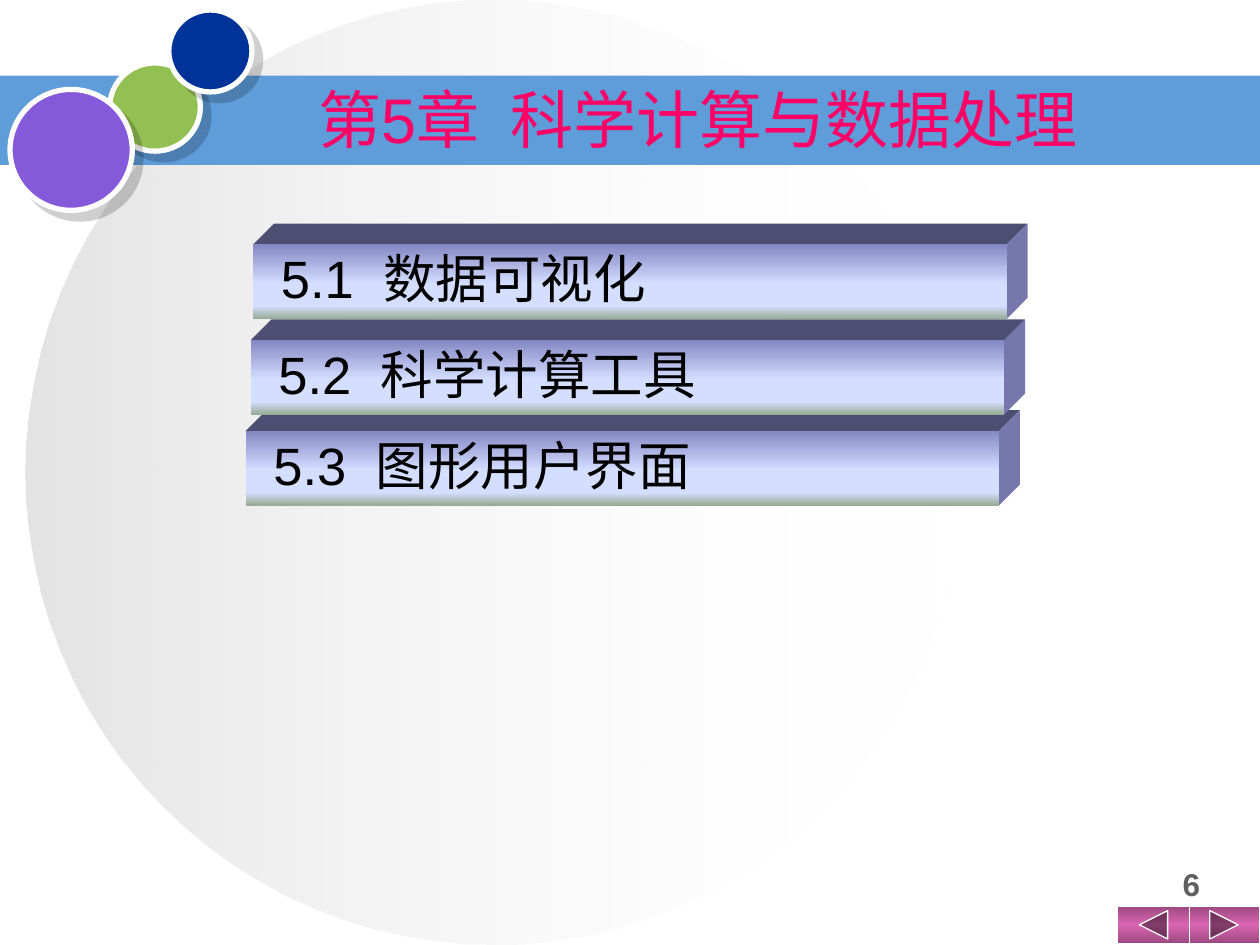
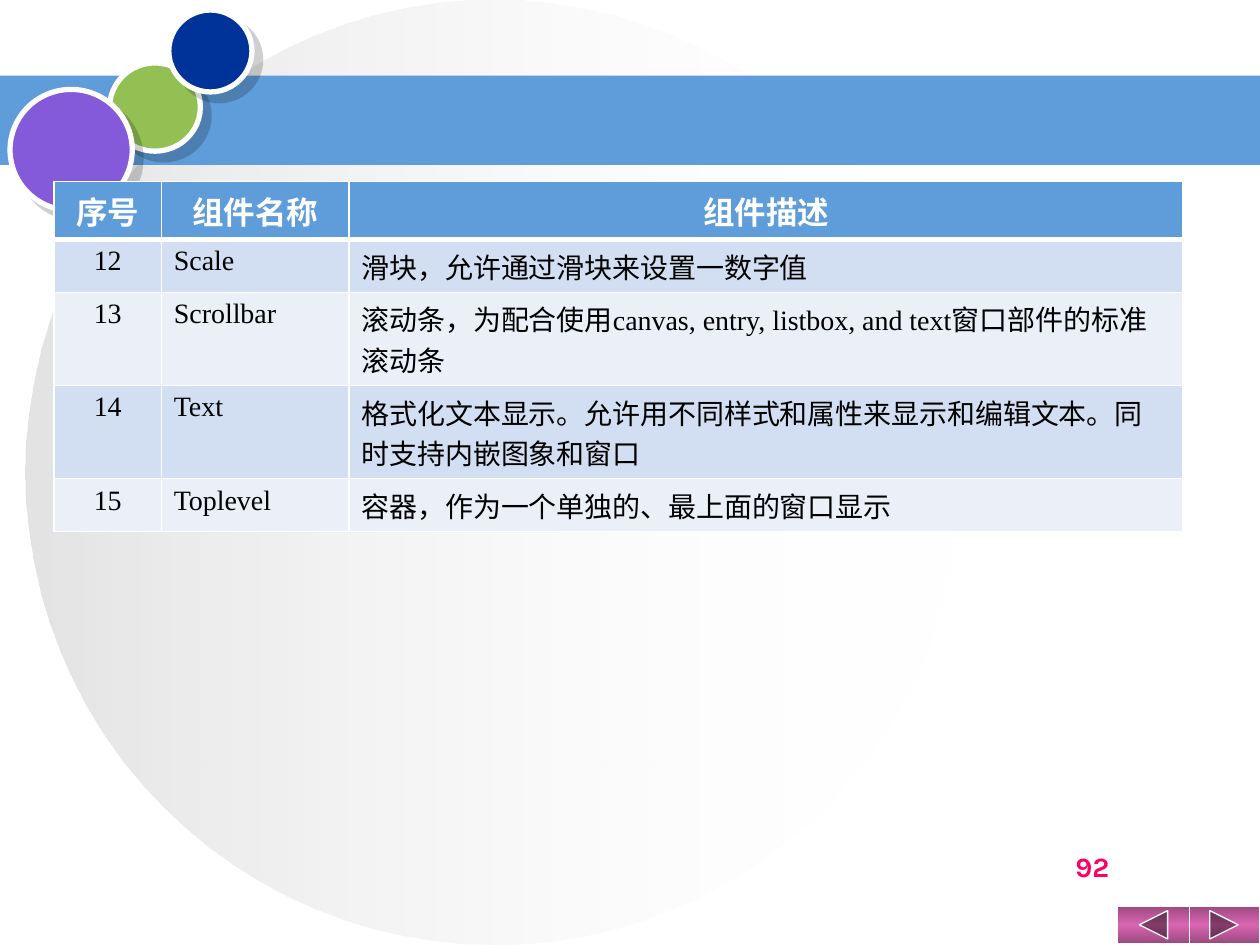
from lxml.etree import SubElement
from pptx import Presentation
from pptx.dml.color import RGBColor
from pptx.enum.shapes import MSO_SHAPE
from pptx.enum.text import MSO_ANCHOR, PP_ALIGN
from pptx.oxml.ns import qn
from pptx.util import Inches, Pt

WHITE = RGBColor(0xFF, 0xFF, 0xFF)
BLACK = RGBColor(0x00, 0x00, 0x00)
SILVER = RGBColor(0xC0, 0xC0, 0xC0)
GRAY = RGBColor(0x5F, 0x5F, 0x5F)
BLUE = RGBColor(0x5E, 0x9C, 0xDA)
NAVY = RGBColor(0x00, 0x33, 0x99)
GREEN = RGBColor(0x93, 0xC0, 0x52)
PURPLE = RGBColor(0x85, 0x5A, 0xDA)
PINK = RGBColor(0xFF, 0x00, 0x66)
ORCHID = RGBColor(0xD9, 0x65, 0xB2)
PLUM = RGBColor(0x9B, 0x48, 0x7F)
BAR_EDGE = RGBColor(0x84, 0x88, 0xC4)
BAR_FACE = RGBColor(0xD4, 0xDE, 0xFF)
BAR_FOOT = RGBColor(0x96, 0xAB, 0x94)
BAR_TOP = RGBColor(0x4D, 0x4F, 0x72)
BAR_SIDE = RGBColor(0x75, 0x77, 0xAD)
ROW_DARK = RGBColor(0xD2, 0xDE, 0xF1)
ROW_LIGHT = RGBColor(0xEA, 0xEF, 0xF8)

SANS, SERIF, NUMBER, CHINESE = "Arial", "Times New Roman", "Karla", "Noto Sans CJK SC"
COLUMNS, ROWS = 100, 75
TITLE_ONLY, BLANK = 5, 6

GLOW = [(0, SILVER, 44), (100, WHITE, 0)]
BUTTON = [(0, PLUM, 100), (50, ORCHID, 100), (100, PLUM, 100)]
BAR = [(0, BAR_EDGE, 100), (53, BAR_FACE, 100), (83, BAR_FACE, 100), (100, BAR_FOOT, 100)]
BAR_WIDTH, BAR_HEIGHT, BAR_DEPTH = 59.8, 5.9, 1.65
HEADER_HEIGHT, ONE_LINE, TWO_LINES = 4.6, 4.2, 7.4


class Deck:
    def __init__(self):
        self.presentation = Presentation()
        self.presentation.slide_width = Inches(10)
        self.presentation.slide_height = Inches(7.5)
        self.column = self.presentation.slide_width / COLUMNS
        self.row = self.presentation.slide_height / ROWS
        self.slide = None

    def box(self, left, top, width, height):
        return (round(left * self.column), round(top * self.row),
                round(width * self.column), round(height * self.row))

    def add_slide(self, layout):
        self.slide = self.presentation.slides.add_slide(
            self.presentation.slide_layouts[layout])
        self.shape(MSO_SHAPE.OVAL, (2, 0, 74.4, 75), gradient=GLOW, angle=0)
        self.shape(MSO_SHAPE.RECTANGLE, (0, 6, 100, 7.1), BLUE)
        for color, place in ((GREEN, (8.7, 5, 7.2, 7)),
                             (NAVY, (13.4, 0.8, 6.6, 6.5)),
                             (PURPLE, (0.8, 7.1, 9.7, 9.6))):
            self.drop_shadow(self.shape(MSO_SHAPE.OVAL, place, color, line=3))
        for kind, left in ((MSO_SHAPE.ACTION_BUTTON_FORWARD_OR_NEXT, 94.3),
                           (MSO_SHAPE.ACTION_BUTTON_BACK_OR_PREVIOUS, 88.7)):
            self.shape(kind, (left, 71.9, 5.7, 3), gradient=BUTTON, line=0.75)

    def shape(self, kind, place, color=None, gradient=None, angle=270, line=0):
        shape = self.slide.shapes.add_shape(kind, *self.box(*place))
        self.paint(shape, color, line)
        if gradient:
            self.apply_gradient(shape, gradient, angle)
        return shape

    def paint(self, shape, color, line=0):
        shape.shadow.inherit = False
        if color is not None:
            shape.fill.solid()
            shape.fill.fore_color.rgb = color
        if line:
            shape.line.color.rgb = WHITE
            shape.line.width = Pt(line)
        else:
            shape.line.fill.background()

    def apply_gradient(self, shape, stops, angle):
        shape.fill.gradient()
        shape.fill.gradient_angle = angle
        stop_list = next(shape._element.iter(qn("a:gsLst")))
        for stop in list(stop_list):
            stop_list.remove(stop)
        for position, color, alpha in stops:
            stop = SubElement(stop_list, qn("a:gs"), pos=str(position * 1000))
            self.color_element(stop, color, alpha)

    def color_element(self, parent, color, alpha=100):
        element = SubElement(parent, qn("a:srgbClr"), val=str(color))
        if alpha < 100:
            SubElement(element, qn("a:alpha"), val=str(alpha * 1000))

    def drop_shadow(self, shape):
        effects = next(shape._element.iter(qn("a:effectLst")))
        shadow = SubElement(effects, qn("a:outerShdw"), blurRad="0",
                            dist=str(Pt(7.1)), dir=str(45 * 60000),
                            algn="ctr", rotWithShape="0")
        self.color_element(shadow, BLACK, 19)

    def polygon(self, points, color):
        corners = [self.box(x, y, 0, 0)[:2] for x, y in points]
        builder = self.slide.shapes.build_freeform(*corners[0], scale=1.0)
        builder.add_line_segments(corners[1:], close=True)
        self.paint(builder.convert_to_shape(), color)

    def run(self, paragraph, text, size, font, color, bold=False, gap=0):
        run = paragraph.add_run()
        run.text = text
        run.font.size = Pt(size)
        run.font.name = font
        run.font.bold = bold
        run.font.color.rgb = color
        properties = run._r.get_or_add_rPr()
        SubElement(properties, qn("a:ea"), typeface=CHINESE)
        if gap:
            properties.set("spc", str(round(gap * 100)))

    def heading(self, paragraph, number, name, size, color):
        self.run(paragraph, number, size, SANS, color)
        self.run(paragraph, " ", size, SANS, color, gap=size * 0.28)
        self.run(paragraph, name, size, SANS, color)

    def frame(self, shape, left_margin=0):
        frame = shape.text_frame
        frame.word_wrap = True
        frame.vertical_anchor = MSO_ANCHOR.MIDDLE
        frame.margin_left = round(left_margin * self.column)
        frame.margin_right = frame.margin_top = frame.margin_bottom = 0
        return frame.paragraphs[0]

    def title(self, number, name):
        title = self.slide.shapes.title
        title.left, title.top, title.width, title.height = self.box(22.5, 6.7, 65.8, 5.3)
        self.slide.shapes._spTree.append(title._element)
        paragraph = self.frame(title)
        paragraph.alignment = PP_ALIGN.CENTER
        self.heading(paragraph, number, name, 36, PINK)

    def page_number(self, text, place, size, font, color):
        shape = self.slide.shapes.add_textbox(*self.box(*place))
        shape.text_frame.word_wrap = True
        paragraph = shape.text_frame.paragraphs[0]
        paragraph.alignment = PP_ALIGN.CENTER
        self.run(paragraph, text, size, font, color, bold=True)

    def bar(self, left, top, number, name):
        right, bottom = left + BAR_WIDTH, top + BAR_HEIGHT
        back_right, back_top = right + BAR_DEPTH, top - BAR_DEPTH
        self.polygon([(left, top), (left + BAR_DEPTH, back_top),
                      (back_right, back_top), (right, top)], BAR_TOP)
        self.polygon([(right, top), (back_right, back_top),
                      (back_right, bottom - BAR_DEPTH), (right, bottom)], BAR_SIDE)
        front = self.shape(MSO_SHAPE.RECTANGLE, (left, top, BAR_WIDTH, BAR_HEIGHT),
                           gradient=BAR)
        paragraph = self.frame(front, left_margin=2.2)
        paragraph.alignment = PP_ALIGN.LEFT
        paragraph.line_spacing = 0.9
        self.heading(paragraph, number, name, 30, BLACK)

    def cell_borders(self, cell, **widths):
        properties = cell._tc.get_or_add_tcPr()
        for side in "LRTB":
            line = SubElement(properties, qn(f"a:ln{side}"),
                              w=str(Pt(widths.get(side, 1))))
            self.color_element(SubElement(line, qn("a:solidFill")), WHITE)

    def table(self, left, top, widths, heights, records):
        place = self.box(left, top, sum(widths), sum(heights))
        table = self.slide.shapes.add_table(len(heights), len(widths), *place).table
        table.horz_banding = False
        for column, width in zip(table.columns, widths):
            column.width = round(width * self.column)
        for row, height in zip(table.rows, heights):
            row.height = round(height * self.row)
        for row_index, record in enumerate(records):
            header = row_index == 0
            for column_index, text in enumerate(record):
                cell = table.cell(row_index, column_index)
                self.cell_borders(cell, B=3 if header else 1,
                                  T=3 if row_index == 1 else 1)
                cell.fill.solid()
                cell.fill.fore_color.rgb = (
                    BLUE if header else ROW_DARK if row_index % 2 else ROW_LIGHT)
                paragraph = cell.text_frame.paragraphs[0]
                centered = header or column_index == 0
                paragraph.alignment = PP_ALIGN.CENTER if centered else PP_ALIGN.LEFT
                if header:
                    self.run(paragraph, text, 18, CHINESE, WHITE, bold=True)
                else:
                    self.run(paragraph, text, 16, SERIF, BLACK)


def add_chapter(deck):
    deck.add_slide(TITLE_ONLY)
    deck.page_number("6", (88.3, 68.2, 12.5, 4.3), 18, SANS, GRAY)
    deck.title("第5章", "科学计算与数据处理")
    for left, top, number, name in ((19.5, 34.2, "5.3", "图形用户界面"),
                                    (20.1, 19.4, "5.1", "数据可视化"),
                                    (19.9, 27, "5.2", "科学计算工具")):
        deck.bar(left, top, number, name)


def add_components(deck):
    deck.add_slide(BLANK)
    deck.page_number("92", (76.3, 66.9, 20.8, 5), 16, NUMBER, PINK)
    heights = (HEADER_HEIGHT, ONE_LINE, TWO_LINES, TWO_LINES, ONE_LINE)
    deck.table(4.3, 14.4, (8.5, 14.9, 66.2), heights, [
        ("序号", "组件名称", "组件描述"),
        ("12", "Scale", "滑块，允许通过滑块来设置一数字值"),
        ("13", "Scrollbar",
         "滚动条，为配合使用canvas, entry, listbox, and text窗口部件的标准滚动条"),
        ("14", "Text",
         "格式化文本显示。允许用不同样式和属性来显示和编辑文本。同时支持内嵌图象和窗口"),
        ("15", "Toplevel", "容器，作为一个单独的、最上面的窗口显示"),
    ])


def main():
    deck = Deck()
    add_chapter(deck)
    add_components(deck)
    deck.presentation.save("out.pptx")


if __name__ == "__main__":
    main()
